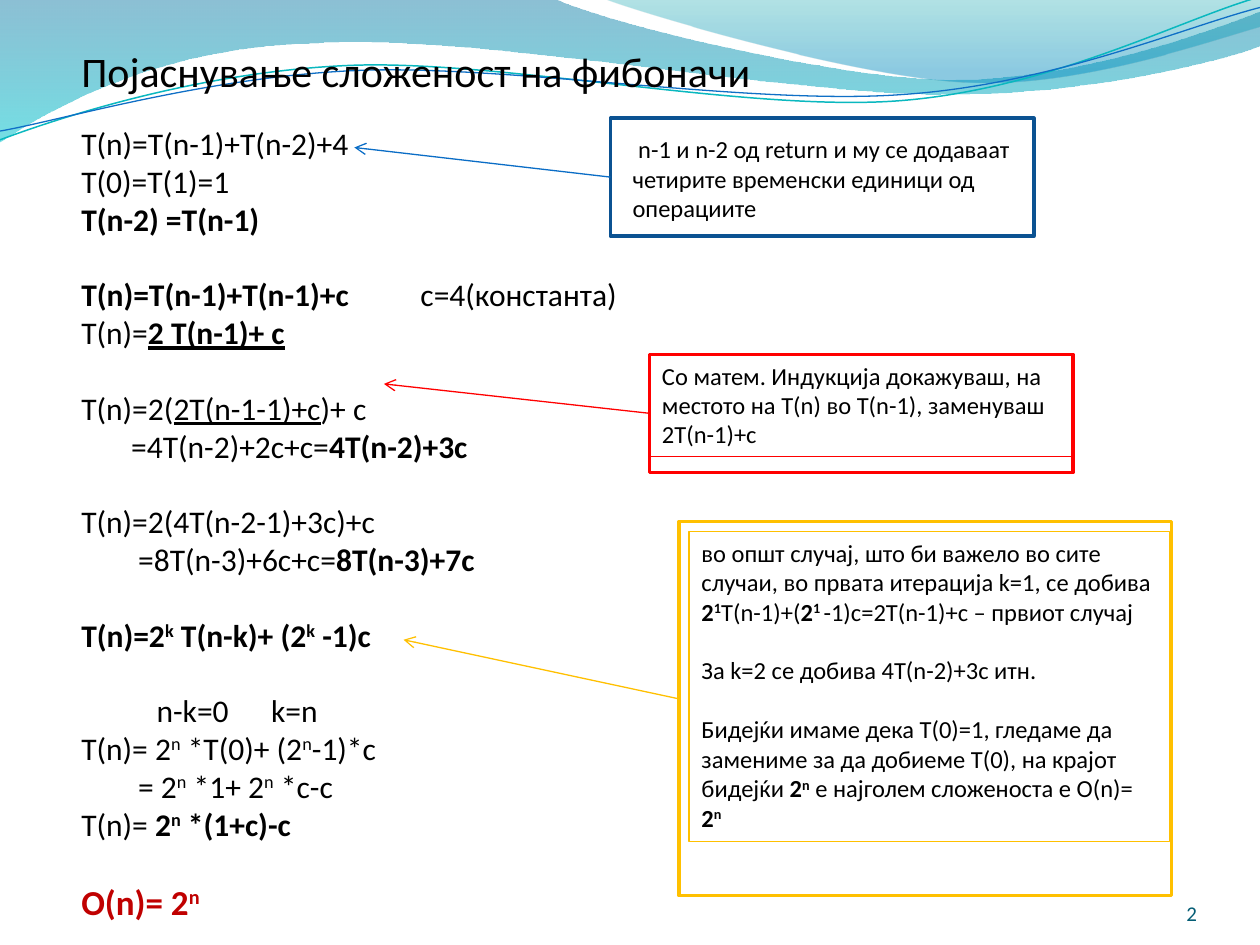
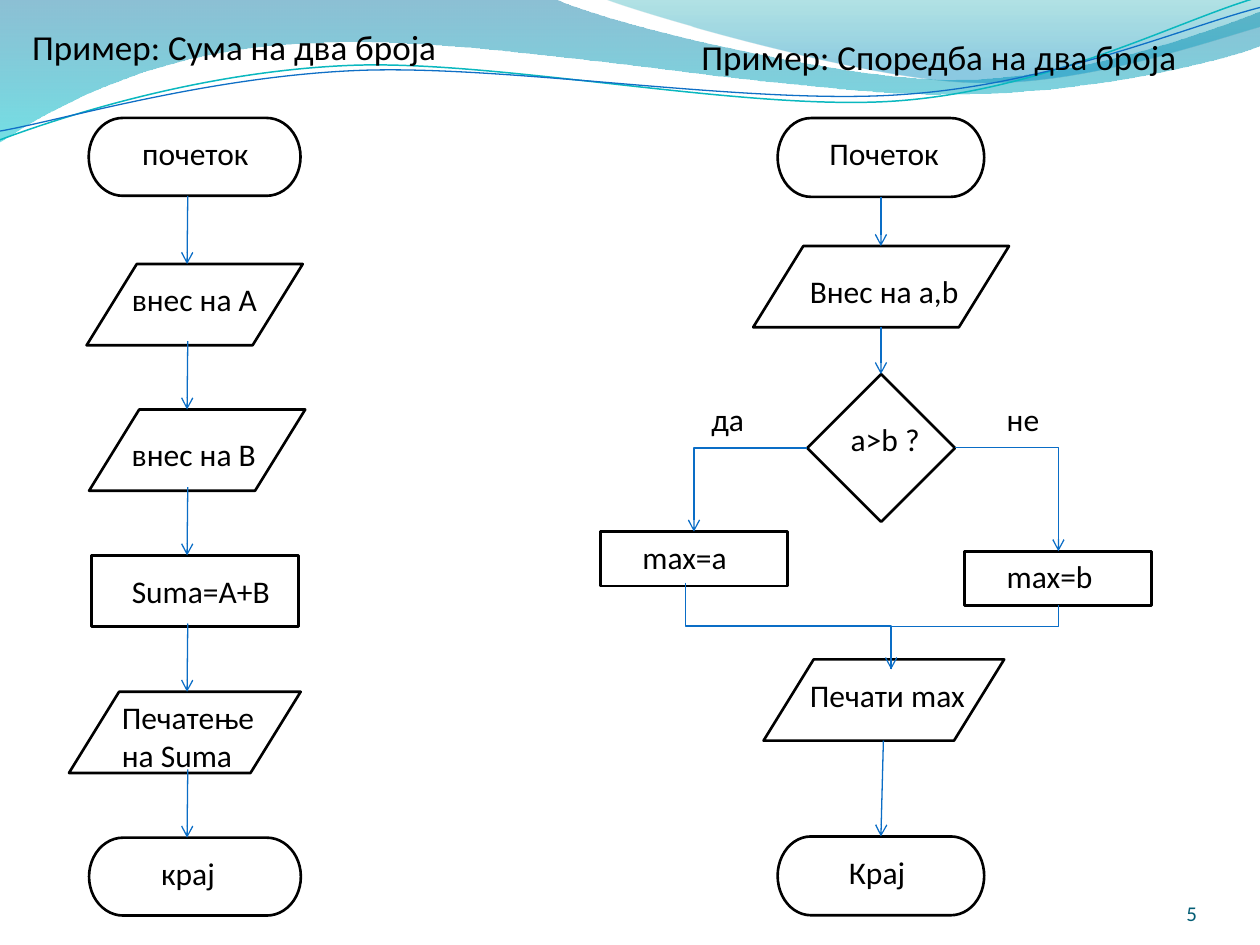
import math
import pptx
import pptx.util
import pptx.dml.color
import pptx.enum.shapes
import pptx.enum.text
import pptx.oxml
import pptx.oxml.ns

Pt = pptx.util.Pt
RGB = pptx.dml.color.RGBColor
Shape = pptx.enum.shapes.MSO_SHAPE
Link = pptx.enum.shapes.MSO_CONNECTOR
Anchor = pptx.enum.text.MSO_ANCHOR
Align = pptx.enum.text.PP_ALIGN
qn = pptx.oxml.ns.qn

FONT = "Calibri"
BLACK = RGB(0x00, 0x00, 0x00)
ARROW_BLUE = RGB(0x0A, 0x6D, 0xC6)
FRAME_BLUE = RGB(0x0B, 0x52, 0x92)
RED = RGB(0xFF, 0x00, 0x00)
DARK_RED = RGB(0xC0, 0x00, 0x00)
AMBER = RGB(0xFF, 0xC0, 0x00)
NUMBER_TEAL = RGB(0x04, 0x5D, 0x75)
WAVE_TEAL = RGB(0x0A, 0xB8, 0xBF)
WAVE_BLUE = RGB(0x0F, 0x6F, 0xC6)

BANDS = [
    ([(-0.5, 0), (316.8, -0.7), (342.7, 12.2, 478.1, 45.4, 545.8, 45.4),
      (614.2, 45.4, 689.8, 18.7, 720, 6.5), (720.7, 25.9),
      (707.8, 31.7, 626.4, 54.7, 537.1, 54), (447.8, 54, 275, 20.2, 185, 24.5),
      (92.9, 25.9, 33.1, 59.8, -0.7, 81.4)],
     [(0, RGB(0x00, 0x74, 0xA1), 45), (1, RGB(0x00, 0xC6, 0xCF), 55)]),
    ([(344.9, -0.7), (366.5, 7.9, 491, 44.6, 553.7, 46.8),
      (616.3, 49.7, 691.9, 23, 720, 15.1), (720, 0)],
     [(0, RGB(0x00, 0xA1, 0xA9), 30), (0.8, RGB(0x00, 0x8B, 0xBF), 45)]),
]
WAVE_TILT = -2.7
WAVES = [
    ([(0, 79.9), (34.6, 67, 113.8, 41, 199.4, 37.4),
      (284.4, 33.8, 427, 64.1, 513.4, 57.6),
      (599.8, 51.1, 675.4, 10.8, 718.6, -1.4)], (359.3, 41.4), WAVE_TEAL, 0.85),
    ([(0, 74.9), (33.8, 69.1, 118.1, 43.9, 203.8, 40.3),
      (290.2, 36.7, 429.8, 60.5, 516.2, 54),
      (601.9, 48.2, 677.5, 15.1, 720, 4.3)], (359.6, 42.5), WAVE_BLUE, 0.75),
]

DERIVATION_GAP = 21.6
NOTE_GAP = 16.8
GAP = {"gap": True}
DERIVATION = [
    (["T(n)=T(n-1)+T(n-2)+4"], {}),
    (["T(0)=T(1)=1"], {}),
    ([("T(n-2) =T(n-1)", "b")], {}),
    ([("T(n)=T(n-1)+T(n-1)+c", "b"), "\tc=4(константа)"], {"gap": True, "tabs": [193.8]}),
    (["T(n)=", ("2 T(n-1)+ c", "bu")], {}),
    (["T(n)=2(", ("2T(n-1-1)+c", "u"), ")+ c"], GAP),
    (["\t=4T(n-2)+2c+c=", ("4T(n-2)+3c", "b")], {"tabs": [28.5]}),
    (["T(n)=2(4T(n-2-1)+3c)+c"], GAP),
    (["\t=8T(n-3)+6c+c=", ("8T(n-3)+7c", "b")], {"tabs": [32.5]}),
    ([("Т(n)=2", "b"), ("k", "b^"), (" T(n-k)+ (2", "b"), ("k", "b^"), (" -1)c", "b")], GAP),
    (["\tn-k=0\tk=n"], {"gap": True, "tabs": [43, 108.5]}),
    (["T(n)= 2", ("n", "^"), " *T(0)+ (2", ("n", "^"), "-1)*c"], {}),
    (["\t= 2", ("n", "^"), " *1+ 2", ("n", "^"), " *c-c"], {"tabs": [32.5]}),
    (["T(n)=", (" 2", "b"), ("n", "b^"), (" *(1+c)-c", "b")], {}),
    ([("O(n)= 2", "b"), ("n", "b^")], {"gap": True, "size": 20, "color": DARK_RED}),
]
GENERAL_CASE = [
    (["во општ случај, што би важело во сите случаи, во првата итерација k=1, се добива"], {}),
    ([("2", "b"), ("1", "b^"), "Т(n-1)+(", ("2", "b"), ("1 ", "b^"),
      "-1)c=2T(n-1)+c – првиот случај"], {}),
    (["За k=2 се добива 4T(n-2)+3c итн."], GAP),
    (["Бидејќи имаме дека T(0)=1, гледаме да замениме за да добиеме Т(0), на крајот бидејќи ",
      ("2", "b"), ("n", "b^"), " е најголем сложеноста е O(n)= ", ("2", "b"), ("n", "b^")], GAP),
]
NOTES = [
    {"text": " n-1 и n-2 од return и му се додаваат четирите временски единици од операциите",
     "box": (354.4, 73.1, 242, 58.3), "outline": None,
     "frame": (348.8, 67.5, 242, 67.5), "color": FRAME_BLUE,
     "arrow": ((348.8, 101.2), (202.5, 84.3)), "arrow_color": ARROW_BLUE},
    {"text": "Со матем. Индукција докажуваш, на местото на T(n) во Т(n-1), заменуваш 2Т(n-1)+c",
     "box": (371.2, 202.5, 242, 58.3), "outline": RED,
     "frame": (371.2, 202.5, 242, 67.5), "color": RED,
     "arrow": ((371.2, 236.2), (219.4, 219.4)), "arrow_color": RED},
    {"text": GENERAL_CASE,
     "box": (393.8, 303.8, 274.4, 177), "outline": AMBER,
     "frame": (388.1, 298.1, 281.3, 213.8), "color": AMBER,
     "arrow": ((388.1, 399.4), (230.6, 365.6)), "arrow_color": AMBER},
]

TERMINAL = Shape.FLOWCHART_TERMINATOR
DATA = Shape.PARALLELOGRAM
PROCESS = Shape.FLOWCHART_PROCESS
DECISION = Shape.FLOWCHART_DECISION
LABEL_H = 29
SUM_STEPS = [
    (TERMINAL, (50.7, 67.4, 121, 44.5), "почеток", (74.2, 73, 76.3)),
    (DATA, (49.5, 150.9, 123.5, 46.4), "внес на А", (68.2, 156.2, 87)),
    (DATA, (50.9, 234, 123.5, 46.4), "внес на B", (68.2, 245.2, 86.4)),
    (PROCESS, (52.3, 317.4, 118.4, 40.6), "Suma=A+B", (68.2, 323.3, 94.3)),
    (DATA, (39.4, 395.3, 132.4, 46.4), "Печатење на Suma", (62.5, 395.3, 109.4)),
    (TERMINAL, (50.9, 478.7, 121, 44.5), "крај", (85, 484.6, 45.4)),
]
SUM_AXIS = 106.9
SUM_ARROW = 39
COMPARE_STEPS = [
    (TERMINAL, (444.4, 67.5, 118, 45), "Почеток", (466.8, 73.1, 77.8)),
    (DATA, (430.4, 140.6, 146.2, 46.4), "Внес на a,b", (455.7, 152, 100.8)),
    (DECISION, (461.3, 213.8, 84.4, 84.4), "a>b ?", (479, 236.2, 55)),
    (PROCESS, (343.2, 303.8, 106.8, 31), "max=a", (360, 303.8, 63.4)),
    (PROCESS, (551.2, 315, 106.8, 30.8), "max=b", (568.2, 315, 64)),
    (DATA, (436.3, 376.8, 137.5, 46.4), "Печати max", (455.7, 382.6, 106.6)),
    (TERMINAL, (444.4, 478, 118, 45), "Крај", (478, 483.8, 46.8)),
]
BRANCHES = [("да", (399.5, 224.9, 33)), ("не", (568.2, 224.9, 33))]
COMPARE_ARROWS = [
    ((503.4, 112.6), (503.4, 140.6)),
    ((503.4, 187), (503.4, 213.8)),
    ((504.8, 423.2), (503.4, 478)),
]
COMPARE_TURNS = [((461.4, 256), (396.6, 303.8)), ((545.8, 255.7), (604.8, 315))]
COMPARE_JOINS = [
    ((391.6, 333), (509.2, 382.5), 50000, True),
    ((604.8, 345.8), (509.2, 382.5), 32900, False),
]


def points(values):
    return [Pt(v) for v in values]


def write(slide, box, content, size=18, color=BLACK, gap=0, wrap=True,
          align=Align.LEFT, anchor=Anchor.TOP, flush=False, outline=None):
    label = slide.shapes.add_textbox(*points(box))
    frame = label.text_frame
    frame.word_wrap = wrap
    frame.vertical_anchor = anchor
    if flush:
        frame.margin_left = frame.margin_right = frame.margin_top = frame.margin_bottom = 0
    if outline is not None:
        label.line.color.rgb = outline
        label.line.width = Pt(0.75)
    lines = [([content], {})] if isinstance(content, str) else content
    for index, (pieces, style) in enumerate(lines):
        line = frame.add_paragraph() if index else frame.paragraphs[0]
        line.alignment = align
        if style.get("gap"):
            line.space_before = Pt(gap)
        if "tabs" in style:
            props = line._p.get_or_add_pPr()
            tab_list = props.makeelement(qn("a:tabLst"), {})
            props.append(tab_list)
            for stop in style["tabs"]:
                tab_list.append(tab_list.makeelement(
                    qn("a:tab"), {"pos": str(int(Pt(stop))), "algn": "l"}))
        for piece in pieces:
            words, flags = (piece, "") if isinstance(piece, str) else piece
            run = line.add_run()
            run.text = words
            run.font.name = FONT
            run.font.size = Pt(style.get("size", size))
            run.font.color.rgb = style.get("color", color)
            run.font.bold = "b" in flags
            run.font.underline = "u" in flags
            if "^" in flags:
                run.font._element.set("baseline", "30000")


def outlined(slide, kind, box, color, width):
    node = slide.shapes.add_shape(kind, *points(box))
    node.shadow.inherit = False
    node.fill.background()
    node.line.color.rgb = color
    node.line.width = Pt(width)
    if kind == DATA:
        node.adjustments[0] = 0.617


def connect(slide, start, end, color=ARROW_BLUE, kind=Link.STRAIGHT, head=True):
    link = slide.shapes.add_connector(kind, *points(start + end))
    link.line.color.rgb = color
    link.line.width = Pt(0.75)
    props = link._element.spPr
    if head:
        stroke = props.find(qn("a:ln"))
        stroke.append(stroke.makeelement(qn("a:tailEnd"), {"type": "arrow"}))
    props.append(props.makeelement(qn("a:effectLst"), {}))
    return props


def turn(slide, start, end):
    props = connect(slide, start, end, kind=Link.ELBOW)
    props.find(qn("a:prstGeom")).set("prst", "bentConnector2")


def join(slide, start, end, bend, head):
    (x1, y1), (x2, y2) = start, end
    mid_x, mid_y = (x1 + x2) / 2, (y1 + y2) / 2
    half_run, half_drop = abs(x2 - x1) / 2, (y2 - y1) / 2
    side = 1 if x2 > x1 else -1
    props = connect(slide, (mid_x + side * half_drop, mid_y - half_run),
                    (mid_x - side * half_drop, mid_y + half_run),
                    kind=Link.ELBOW, head=head)
    props.find(qn("a:xfrm")).set("rot", str((180 + side * 90) * 60000))
    guides = props.find(qn("a:prstGeom")).find(qn("a:avLst"))
    guides.append(guides.makeelement(qn("a:gd"), {"name": "adj1", "fmla": f"val {bend}"}))


def trace(slide, outline, close, pivot=(0, 0), tilt=0):
    cos, sin = math.cos(math.radians(-tilt)), math.sin(math.radians(-tilt))

    def level(x, y):
        dx, dy = x - pivot[0], y - pivot[1]
        return points((pivot[0] + dx * cos - dy * sin, pivot[1] + dx * sin + dy * cos))

    knots = [level(*part[i:i + 2]) for part in outline for i in range(0, len(part), 2)]
    builder = slide.shapes.build_freeform(*knots[0])
    builder.add_line_segments(knots[1:], close=close)
    curve = builder.convert_to_shape()
    curve.rotation = tilt % 360
    curve.shadow.inherit = False
    segments = iter(list(curve._element.spPr.iter(qn("a:lnTo"))))
    for part in outline[1:]:
        group = [next(segments) for _ in range(len(part) // 2)]
        if len(group) == 3:
            bezier = group[0].makeelement(qn("a:cubicBezTo"), {})
            group[0].addprevious(bezier)
            for segment in group:
                bezier.append(segment[0])
                segment.getparent().remove(segment)
    return curve


def add_page(deck, number):
    slide = deck.slides.add_slide(deck.slide_layouts[6])
    for outline, stops in BANDS:
        band = trace(slide, outline, True)
        band.line.fill.background()
        band.fill.gradient()
        band.fill.gradient_angle = 270
        for stop, (position, color, _) in zip(band.fill.gradient_stops, stops):
            stop.position = position
            stop.color.rgb = color
        for tint, (_, _, opacity) in zip(band._element.spPr.iter(qn("a:srgbClr")), stops):
            for extra in list(tint):
                tint.remove(extra)
            tint.append(tint.makeelement(qn("a:alpha"), {"val": str(opacity * 1000)}))
    for outline, pivot, color, width in WAVES:
        wave = trace(slide, outline, False, pivot, WAVE_TILT)
        wave.fill.background()
        wave.line.color.rgb = color
        wave.line.width = Pt(width)
    write(slide, (624, 500.4, 60, 28.8), number, size=12, color=NUMBER_TEAL,
          align=Align.RIGHT, anchor=Anchor.BOTTOM, flush=True)
    return slide


def add_steps(slide, steps):
    for kind, box, text, (left, top, width) in steps:
        outlined(slide, kind, box, BLACK, 1.5)
        write(slide, (left, top, width, LABEL_H), text, wrap=text == "Печатење на Suma")


def build_complexity(deck):
    slide = add_page(deck, "2")
    write(slide, (39.4, 67.4, 360, 482), DERIVATION, gap=DERIVATION_GAP)
    write(slide, (39.4, 22.3, 401, 36), "Појаснување сложеност на фибоначи",
          size=24, wrap=False)
    for note in NOTES:
        write(slide, note["box"], note["text"], size=14, gap=NOTE_GAP,
              outline=note["outline"])
        outlined(slide, Shape.RECTANGLE, note["frame"], note["color"], 2)
        connect(slide, *note["arrow"], color=note["arrow_color"])


def build_flowcharts(deck):
    slide = add_page(deck, "5")
    write(slide, (11.3, 11.2, 258.5, 31.7), "Пример: Сума на два броја", size=20)
    add_steps(slide, SUM_STEPS)
    for _, (_, top, _, _), _, _ in SUM_STEPS[1:]:
        connect(slide, (SUM_AXIS + 0.4, top - SUM_ARROW), (SUM_AXIS, top))
    write(slide, (393.8, 16.6, 292.3, 31.7), "Пример: Споредба на два броја", size=20)
    add_steps(slide, COMPARE_STEPS)
    for answer, (left, top, width) in BRANCHES:
        write(slide, (left, top, width, LABEL_H), answer, wrap=False)
    for start, end in COMPARE_ARROWS:
        connect(slide, start, end)
    for start, end in COMPARE_TURNS:
        turn(slide, start, end)
    for start, end, bend, head in COMPARE_JOINS:
        join(slide, start, end, bend, head)


def main():
    deck = pptx.Presentation()
    deck.slide_width, deck.slide_height = Pt(720), Pt(540)
    build_complexity(deck)
    build_flowcharts(deck)
    deck.save("out.pptx")


if __name__ == "__main__":
    main()
